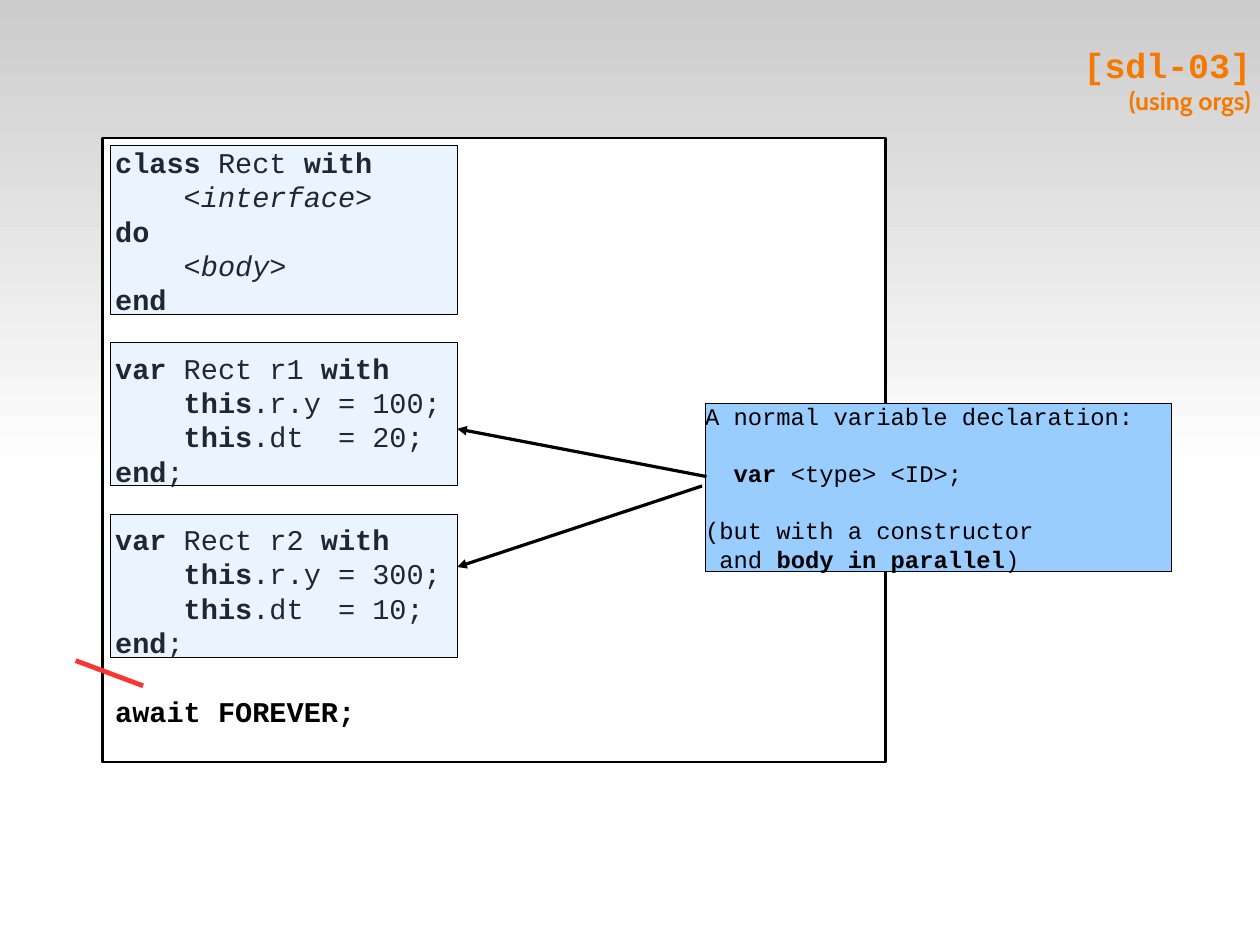
from lxml import etree
from pptx import Presentation
from pptx.dml.color import RGBColor as RGB
from pptx.enum.shapes import MSO_CONNECTOR as CONN, MSO_SHAPE as SHAPE
from pptx.enum.text import MSO_ANCHOR as ANCHOR, MSO_AUTO_SIZE as AUTO, PP_ALIGN as ALIGN
from pptx.oxml.ns import qn
from pptx.util import Cm, Pt

THEME = {
    "black": RGB.from_string("000000"),
    "white": RGB.from_string("FFFFFF"),
    "grey": RGB.from_string("CCCCCC"),
    "blue": RGB.from_string("99CCFF"),
    "orange": RGB.from_string("F57900"),
    "red": RGB.from_string("FF3333"),
    "mono": "Courier New",
    "sans": "Cabin",
    "code": 18,
    "note": 15,
    "title": 22,
    "subtitle": 16,
}


def add_box(box, fill, width, opacity=None):
    sp = slide.shapes.add_shape(SHAPE.RECTANGLE, *map(Cm, box))
    sp.shadow.inherit = False
    sp.fill.solid()
    sp.fill.fore_color.rgb = fill
    sp.line.color.rgb = THEME["black"]
    sp.line.width = Pt(width)
    if opacity:
        clr = sp.fill._xPr.find(qn("a:solidFill"))[0]
        etree.SubElement(clr, qn("a:alpha")).set("val", str(opacity * 1000))
    return sp


def write_code(sp, lines, size, tf_format):
    tf = sp.text_frame
    for name, value in tf_format.items():
        setattr(tf, name, value)
    for n, (indent, gap, text) in enumerate(lines):
        p = tf.paragraphs[0] if n == 0 else tf.add_paragraph()
        p.alignment = ALIGN.LEFT
        p.space_before = Pt(gap * size * 1.2)
        p._p.get_or_add_pPr().set("marL", str(Pt(indent * size * 0.6)))
        for i, part in enumerate(text.split("*")):
            if part:
                r = p.add_run()
                r.text = part
                fmt = {"name": THEME["mono"], "size": Pt(size), "bold": i % 2 == 1,
                       "italic": part in ("<interface>", "<body>")}
                for name, value in fmt.items():
                    setattr(r.font, name, value)
                r.font.color.rgb = THEME["black"]


prs = Presentation()
prs.slide_width, prs.slide_height = Cm(28), Cm(21)
slide = prs.slides.add_slide(prs.slide_layouts[5])

bg = slide.background.fill
bg.gradient()
bg.gradient_angle = 270
for stop, color, position in zip(bg.gradient_stops, ("grey", "white"), (0, 0.5)):
    stop.color.rgb = THEME[color]
    stop.position = position

title = slide.shapes.title
title_format = {"left": Cm(2.6), "top": Cm(0.02), "width": Cm(25.2), "height": Cm(3.5)}
for name, value in title_format.items():
    setattr(title, name, value)
no_margins = {"margin_left": 0, "margin_right": 0, "margin_top": 0, "margin_bottom": 0}
middle = {**no_margins, "vertical_anchor": ANCHOR.MIDDLE, "auto_size": AUTO.NONE, "word_wrap": True}
for name, value in middle.items():
    setattr(title.text_frame, name, value)
p = title.text_frame.paragraphs[0]
p.alignment = ALIGN.RIGHT
for text, font, size in (("[sdl-03]", "mono", "title"), ("(using orgs)", "sans", "subtitle")):
    if p.runs:
        p.add_line_break()
    r = p.add_run()
    r.text = text
    for name, value in {"name": THEME[font], "size": Pt(THEME[size]), "bold": True}.items():
        setattr(r.font, name, value)
    r.font.color.rgb = THEME["orange"]

code_lines = [
    (0, 0, "*class* Rect *with*"),
    (4, 0, "<interface>"),
    (0, 0, "*do*"),
    (4, 0, "<body>"),
    (0, 0, "*end*"),
]
for var, y, dt in (("r1", 100, 20), ("r2", 300, 10)):
    code_lines += [
        (0, 1, f"*var* Rect {var} *with*"),
        (4, 0, f"*this*.r.y = {y};"),
        (4, 0, f"*this*.dt  = {dt};"),
        (0, 0, "*end*;"),
    ]
code_lines.append((0, 1, "*await FOREVER;*"))
code = add_box((2.28, 3.07, 17.4, 13.87), THEME["white"], 1.45)
write_code(code, code_lines, THEME["code"], {
    "margin_left": Cm(0.28), "margin_right": Cm(0.28), "margin_top": Cm(0.15),
    "margin_bottom": Cm(0.15), "vertical_anchor": ANCHOR.TOP,
    "auto_size": AUTO.NONE, "word_wrap": True})

for top, height in ((3.23, 3.76), (7.62, 3.18), (11.43, 3.18)):
    add_box((2.45, top, 7.72, height), THEME["blue"], 0, opacity=20)

note = add_box((15.67, 8.97, 10.36, 3.73), THEME["blue"], 0)
write_code(note, [
    (0, 0, "A normal variable declaration:"),
    (2, 1, "*var* <type> <ID>;"),
    (0, 1, "(but with a constructor"),
    (1, 0, "and *body in parallel*)"),
], THEME["note"], middle)

for ends, color, width, arrow in (
    ((1.68, 14.68, 3.18, 15.24), "red", 3, False),
    ((15.6, 10.8, 10.16, 12.6), "black", 0, True),
    ((15.7, 10.59, 10.16, 9.53), "black", 0, True),
):
    line = slide.shapes.add_connector(CONN.STRAIGHT, *map(Cm, ends))
    line.line.color.rgb = THEME[color]
    line.line.width = Pt(width)
    if arrow:
        etree.SubElement(line.line._get_or_add_ln(), qn("a:tailEnd")).set("type", "triangle")
    etree.SubElement(line._element.spPr, qn("a:effectLst"))

prs.save("out.pptx")
